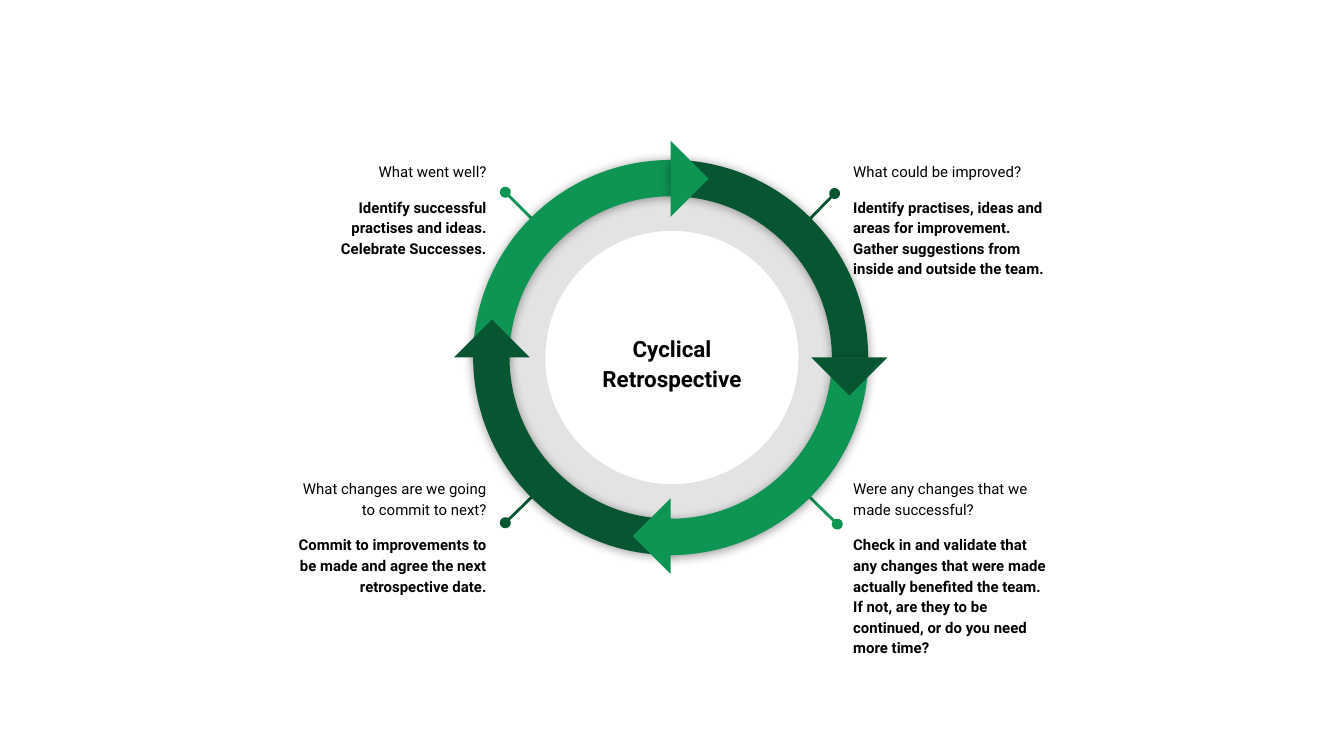
from math import cos, radians, sin

from lxml import etree
from pptx import Presentation
from pptx import util as u
from pptx.dml.color import RGBColor
from pptx.enum import shapes, text
from pptx.oxml import parse_xml
from pptx.oxml.ns import nsdecls, qn

BLACK = RGBColor(0x00, 0x00, 0x00)
GREEN = RGBColor(0x0E, 0x94, 0x53)
DARK_GREEN = RGBColor(0x08, 0x56, 0x31)

LEFT, RIGHT, CENTER = text.PP_ALIGN.LEFT, text.PP_ALIGN.RIGHT, text.PP_ALIGN.CENTER

CALLOUTS = [
    ((2.08, 1.09), (1.68, 0.34), (2.06, 0.72), RIGHT, GREEN, "What went well?",
     ["Identify successful practises and ideas.", "Celebrate Successes."]),
    ((2.08, 3.45), (1.68, 0.44), (2.06, 0.07), RIGHT, DARK_GREEN,
     "What changes are we going to commit to next?",
     ["Commit to improvements to be made and agree the next retrospective date."]),
    ((6.25, 3.45), (-0.02, 0.45), (-0.41, 0.07), LEFT, GREEN,
     "Were any changes that we made successful?",
     ["Check in and validate that any changes that were made actually benefited the team. "
      "If not, are they to be continued, or do you need more time?"]),
    ((6.25, 1.09), (-0.04, 0.35), (-0.4, 0.72), LEFT, DARK_GREEN,
     "What could be improved?",
     ["Identify practises, ideas and areas for improvement.",
      "Gather suggestions from inside and outside the team."]),
]

QUARTERS = [(180, 330, GREEN), (270, 30, DARK_GREEN), (90, 150, DARK_GREEN), (0, 210, GREEN)]


def add_solid(slide, kind, left, top, size, color, rotation=0):
    """Add a square preset shape with a plain fill and no outline."""
    solid = slide.shapes.add_shape(
        kind, u.Inches(left), u.Inches(top), u.Inches(size), u.Inches(size))
    solid.shadow.inherit = False
    solid.fill.solid()
    solid.fill.fore_color.rgb = color
    solid.line.fill.background()
    solid.rotation = rotation
    return solid


def add_soft_shadow(solid):
    """Fill the empty effect list with a soft shadow below."""
    effects = solid.element.spPr.find(qn("a:effectLst"))
    effects.append(parse_xml(
        f'<a:outerShdw {nsdecls("a")} blurRad="71120" dist="10160" dir="5400000" '
        'algn="bl" rotWithShape="0"><a:srgbClr val="000000">'
        '<a:alpha val="40000"/></a:srgbClr></a:outerShdw>'))


def add_text(parent, box, align, anchor, lines):
    """Write lines of (wording, format values, space before) in a box."""
    frame = parent.shapes.add_textbox(*map(u.Inches, box)).text_frame
    frame.word_wrap = True
    frame.vertical_anchor = anchor
    for side in ("left", "top", "right", "bottom"):
        setattr(frame, f"margin_{side}", u.Inches(0.1))
    for index, (wording, formats, gap) in enumerate(lines):
        paragraph = frame.add_paragraph() if index else frame.paragraphs[0]
        paragraph.alignment = align
        paragraph.line_spacing = 1.15
        paragraph.space_before = u.Pt(gap)
        run = paragraph.add_run()
        run.text = wording
        for name, value in {"name": "Roboto", **formats}.items():
            setattr(run.font, name, value)
        run.font.color.rgb = BLACK


def add_callout(slide, corner, dot, joint, align, color, question, answers):
    """Group a question, its answers and the pointer to the ring."""
    left, top = corner
    group = slide.shapes.add_group_shape()
    ends = [u.Inches(left + dot[0]), u.Inches(top + dot[1]),
            u.Inches(left + joint[0]), u.Inches(top + joint[1])]
    pointer = group.shapes.add_connector(shapes.MSO_CONNECTOR.STRAIGHT, *ends)
    pointer.line.color.rgb = color
    pointer.line.width = u.Pt(1.5)
    etree.SubElement(pointer.get_or_add_ln(), qn("a:headEnd"), type="oval")
    etree.SubElement(pointer.element.spPr, qn("a:effectLst"))
    lines = [(question, {"size": u.Pt(8), "bold": False}, 0)]
    for index, answer in enumerate(answers):
        lines.append((answer, {"size": u.Pt(8), "bold": True}, 0 if index else 8.2))
    add_text(group, (left, top, 1.64, 0.73), align, text.MSO_ANCHOR.TOP, lines)


def add_backdrop(slide, left, top, size):
    """Add the pale ring behind the cycle."""
    ring = add_solid(slide, shapes.MSO_SHAPE.DONUT, left, top, size, BLACK)
    ring.adjustments[0] = 0.161
    tint = ring.element.spPr.find(qn("a:solidFill"))[0]
    etree.SubElement(tint, qn("a:alpha"), val="11000")


def add_cycle(slide, left, top, size):
    """Add four quarter arcs, each ending in an arrowhead."""
    for start, rotation, color in QUARTERS:
        arc = add_solid(slide, shapes.MSO_SHAPE.BLOCK_ARC, left, top, size, color, rotation)
        arc.adjustments[0] = (start - rotation) % 360 * 0.6
        arc.adjustments[1] = (start + 91 - rotation) % 360 * 0.6
        arc.adjustments[2] = 0.092
        add_soft_shadow(arc)
    head, radius = 0.4, 1.33
    inset = (size - head) / 2
    for start, _, color in QUARTERS:
        end = start + 90
        add_solid(slide, shapes.MSO_SHAPE.RIGHT_TRIANGLE,
                  left + inset + radius * cos(radians(end)),
                  top + inset + radius * sin(radians(end)),
                  head, color, (end - 45) % 360)


def main():
    """Build and save the slide."""
    deck = Presentation()
    deck.slide_width = u.Inches(10)
    deck.slide_height = u.Inches(10 * 9 / 16)
    slide = deck.slides.add_slide(deck.slide_layouts[6])
    add_backdrop(slide, 3.61, 1.27, 2.78)
    for callout in CALLOUTS:
        add_callout(slide, *callout)
    add_cycle(slide, 3.52, 1.19, 2.94)
    add_text(slide, (4.21, 2.25, 1.58, 0.88), CENTER, text.MSO_ANCHOR.MIDDLE,
             [("Cyclical Retrospective", {"size": u.Pt(12), "bold": True}, 0)])
    deck.save("out.pptx")


if __name__ == "__main__":
    main()
